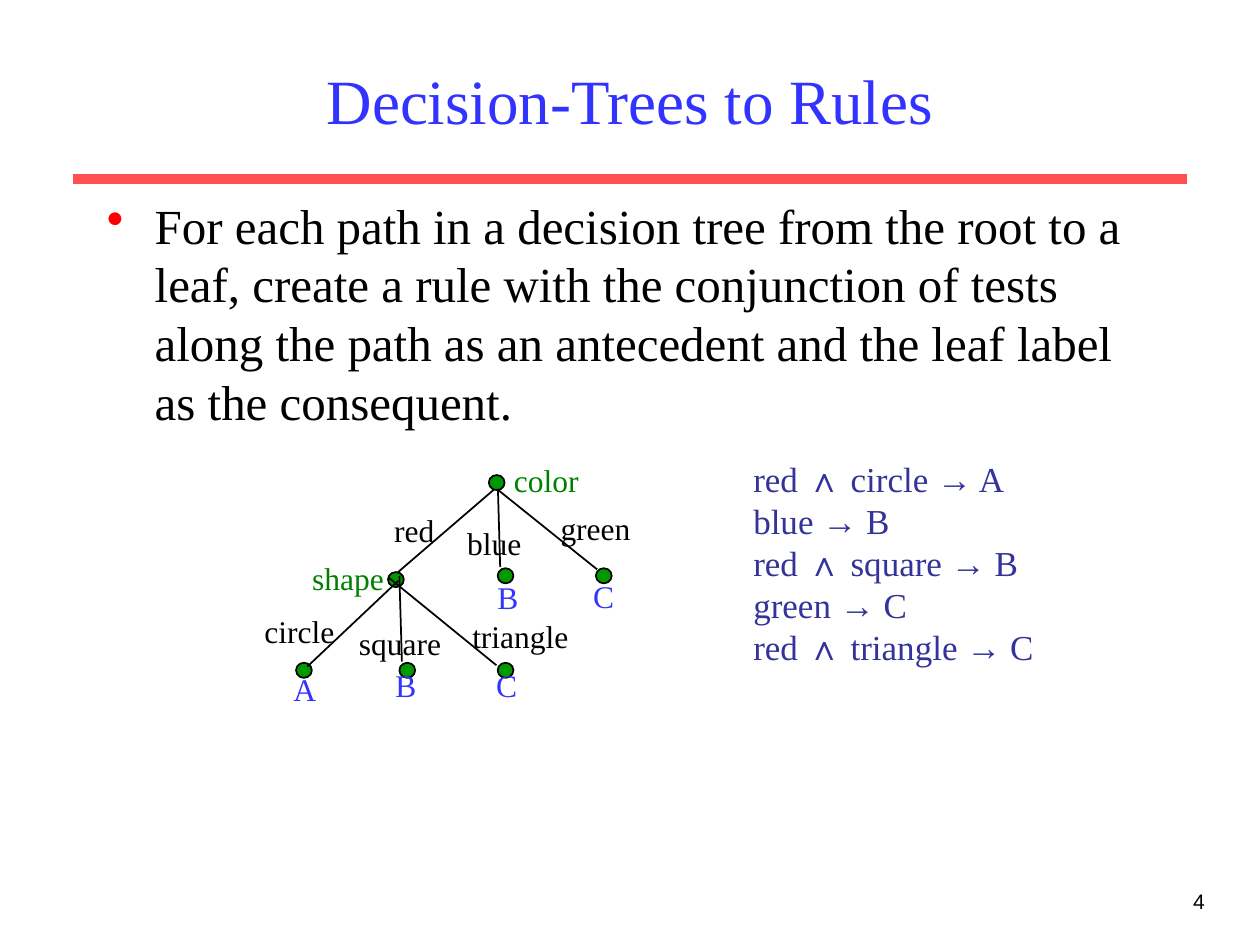
from lxml import etree
from pptx import Presentation
from pptx.dml.color import RGBColor
from pptx.enum.shapes import MSO_CONNECTOR, MSO_SHAPE
from pptx.enum.text import MSO_ANCHOR, PP_ALIGN
from pptx.oxml.ns import qn
from pptx.util import Inches, Pt

LEFT, CENTER, RIGHT = PP_ALIGN.LEFT, PP_ALIGN.CENTER, PP_ALIGN.RIGHT
MIDDLE = MSO_ANCHOR.MIDDLE
STRAIGHT, OVAL = MSO_CONNECTOR.STRAIGHT, MSO_SHAPE.OVAL

BLUE = RGBColor(0x33, 0x33, 0xFF)
INDIGO = RGBColor(0x33, 0x33, 0x99)
CORAL = RGBColor(0xFF, 0x50, 0x50)
NODE_GREEN = RGBColor(0x00, 0x99, 0x00)
TEST_GREEN = RGBColor(0x00, 0x80, 0x00)
BLACK = RGBColor(0x00, 0x00, 0x00)
SERIF, SANS = "Times New Roman", "Arial"

deck = Presentation()
deck.slide_width, deck.slide_height = Inches(10), Inches(7.5)
page = deck.slides.add_slide(deck.slide_layouts[6])

# Grid of 100 columns by 75 rows
COLUMN = deck.slide_width / 100
ROW = deck.slide_height / 75


def add_text(area, lines, size, color, font=SERIF, align=LEFT, wrap=True):
    """Add a text box; each line is a list of (text, font) runs or a string."""
    left, top, width, height = area
    box = page.shapes.add_textbox(int(left * COLUMN), int(top * ROW),
                                  int(width * COLUMN), int(height * ROW))
    frame = box.text_frame
    frame.word_wrap = wrap
    for number, line in enumerate(lines):
        para = frame.add_paragraph() if number else frame.paragraphs[0]
        para.alignment = align
        for text, face in [(line, font)] if isinstance(line, str) else line:
            span = para.add_run()
            span.text = text
            span.font.name = face
            span.font.size = Pt(size)
            span.font.color.rgb = color
    return frame


def add_line(start, end, color, weight):
    line = page.shapes.add_connector(STRAIGHT, int(start[0] * COLUMN), int(start[1] * ROW),
                                     int(end[0] * COLUMN), int(end[1] * ROW))
    line.line.color.rgb = color
    line.line.width = Pt(weight)
    etree.SubElement(line._element.spPr, qn("a:effectLst"))


# Title and rule below it
add_line((5.8, 14.2), (94.2, 14.2), CORAL, 6)
title = add_text((7.5, 2.5, 85, 10.8), ["Decision-Trees to Rules"], 36, BLUE, align=CENTER)
title.vertical_anchor = MIDDLE

# Bulleted statement
statement = ("For each path in a decision tree from the root to a leaf, create a rule "
             "with the conjunction of tests along the path as an antecedent and the "
             "leaf label as the consequent.")
body = add_text((7.5, 15, 85, 51.3), [statement], 28, BLACK)
properties = body.paragraphs[0]._p.get_or_add_pPr()
properties.set("marL", str(int(3.8 * COLUMN)))
properties.set("indent", str(int(-3.8 * COLUMN)))
bullet_color = etree.SubElement(properties, qn("a:buClr"))
etree.SubElement(bullet_color, qn("a:srgbClr"), val="FF0000")
etree.SubElement(properties, qn("a:buChar"), char="•")

# Tree edges: each inner node branches to three children
branches = [
    ((39.5, 38.6), (31.6, 45.4)), ((39.5, 38.2), (39.7, 45)), ((38.8, 38.3), (47.4, 45.2)),
    ((31.6, 46.1), (24.4, 52.9)), ((31.7, 45.7), (31.9, 52.5)), ((30.8, 45.8), (39.4, 52.8)),
]
# Tree nodes; the root comes last so that it covers its edges
nodes = [(30.8, 45.4), (39.5, 45.1), (47.3, 45.1),
         (23.5, 52.6), (31.7, 52.6), (39.5, 52.6), (38.8, 37.7)]
root = nodes[-1]
for left, top in nodes:
    if (left, top) == root:
        for start, end in branches:
            add_line(start, end, BLACK, 1)
    node = page.shapes.add_shape(OVAL, int(left * COLUMN), int(top * ROW),
                                 int(1.25 * COLUMN), int(1.2 * ROW))
    node.shadow.inherit = False
    node.fill.solid()
    node.fill.fore_color.rgb = NODE_GREEN
    node.line.color.rgb = BLACK
    node.line.width = Pt(1)

# Tree labels: tests in green, branch values in black, leaf classes in blue
labels = [
    ("color", 39.8, 36.1, 7.1, TEST_GREEN), ("shape", 23.8, 43.9, 7.7, TEST_GREEN),
    ("red", 30.3, 40.1, 5.2, BLACK), ("blue", 36.1, 41.1, 6.3, BLACK),
    ("green", 43.5, 39.9, 7.5, BLACK), ("circle", 20, 48.1, 7.5, BLACK),
    ("square", 27.5, 49, 8.5, BLACK), ("triangle", 36.5, 48.5, 9.6, BLACK),
    ("B", 38.5, 45.4, 3.7, BLUE), ("C", 46.1, 45.3, 3.7, BLUE),
    ("A", 22.3, 52.7, 3.8, BLUE), ("B", 30.4, 52.4, 3.7, BLUE), ("C", 38.4, 52.4, 3.7, BLUE),
]
SLACK = 1  # spare column that keeps each label on one line
for text, left, top, width, color in labels:
    add_text((left, top, width + SLACK, 4), [text], 18, color, wrap=False)

# Rules read off the tree; the conjunction sign is set in the sans font
rules = [(["red", "circle"], "A"), (["blue"], "B"), (["red", "square"], "B"),
         (["green"], "C"), (["red", "triangle"], "C")]
rule_lines = []
for tests, leaf in rules:
    runs = []
    for test in tests[:-1]:
        runs += [(test + " ", SERIF), ("∧", SANS)]
    lead = " " if runs else ""
    rule_lines.append(runs + [(f"{lead}{tests[-1]} → {leaf}", SERIF)])
rule_frame = add_text((53.8, 35.8, 30.8, 21), rule_lines, 20, INDIGO)
for para in rule_frame.paragraphs:
    para._p.get_or_add_pPr().set("marL", str(int(5 * COLUMN)))

# Page number
add_text((75.8, 70, 20.8, 5), ["4"], 12, BLACK, font=SANS, align=RIGHT)

deck.save("out.pptx")
